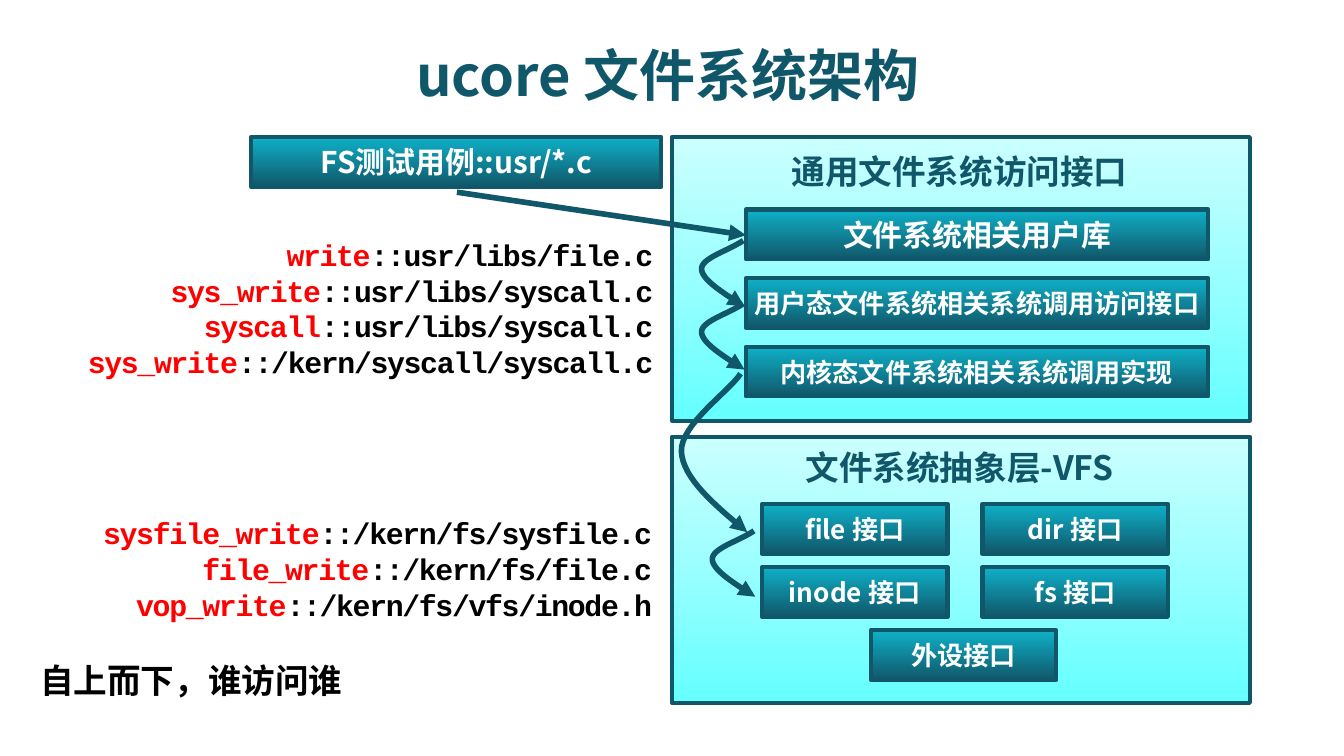
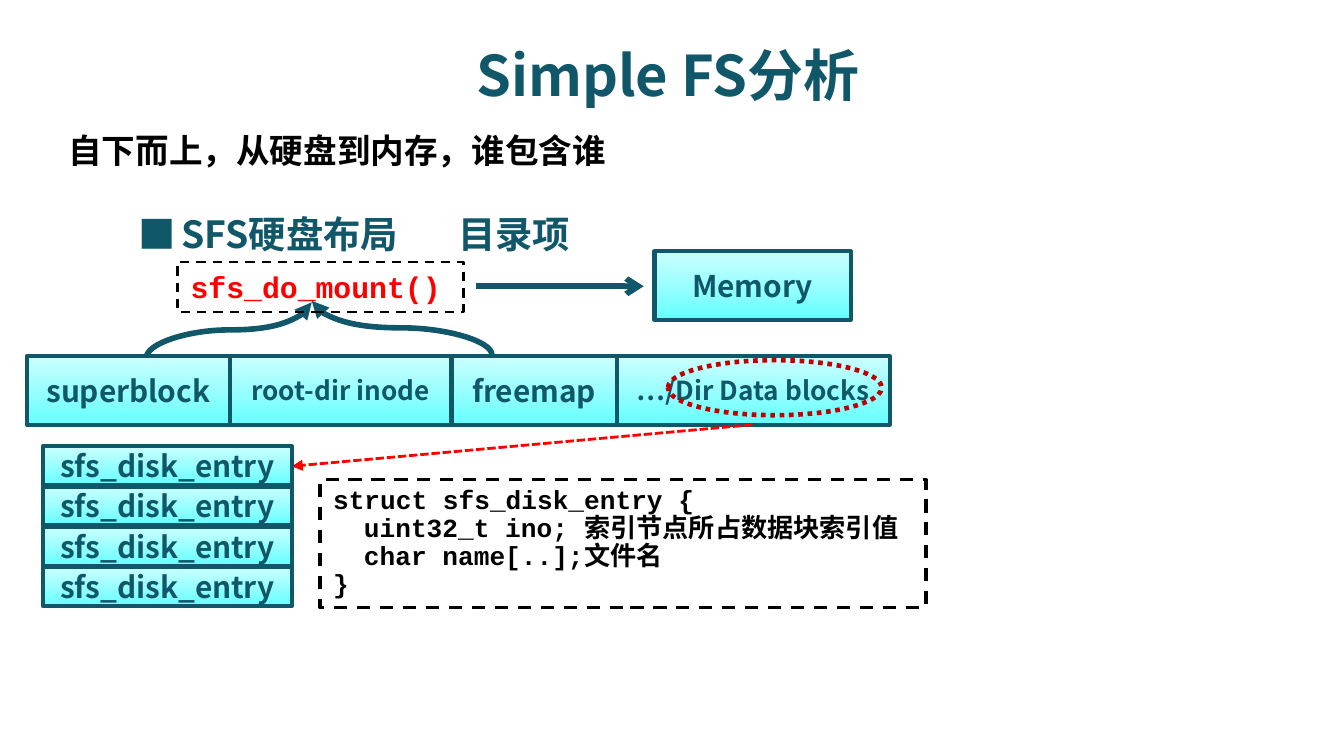
from typing import Any, NamedTuple

import lxml.etree
import pptx
import pptx.dml.color
import pptx.enum.dml
import pptx.enum.shapes
import pptx.enum.text
import pptx.oxml.ns
import pptx.util

Inches = pptx.util.Inches
Pt = pptx.util.Pt
qn = pptx.oxml.ns.qn
Kind = pptx.enum.shapes.MSO_SHAPE
Link = pptx.enum.shapes.MSO_CONNECTOR
Dash = pptx.enum.dml.MSO_LINE
Align = pptx.enum.text.PP_ALIGN
Anchor = pptx.enum.text.MSO_ANCHOR

COLORS = {
    "teal": "11576A",
    "cyan": "0EB1C8",
    "pale": "CCFFFF",
    "aqua": "66FFFF",
    "red": "FF0000",
    "dark": "C00000",
    "black": "000000",
    "white": "FFFFFF",
}
SANS = "Noto Sans CJK SC"
NOTE = "Noto Sans CJK JP"
CODE = "Courier New"
PANEL = ("pale", "aqua")
BUTTON = ("cyan", "teal")


class Area(NamedTuple):
    left: float
    top: float
    width: float
    height: float


class Line(NamedTuple):
    runs: tuple[tuple[str, str], ...]
    dent: float = 0


class Label(NamedTuple):
    text: str
    area: Area
    size: int = 14


class Point(NamedTuple):
    x: float
    y: float


def rgb(name: str) -> Any:
    return pptx.dml.color.RGBColor.from_string(COLORS[name])


def write(
    shape: Any,
    text: str | list[Line],
    *,
    size: float = 16,
    color: str = "teal",
    font: str = SANS,
    align: Any = Align.LEFT,
    anchor: Any = Anchor.TOP,
    wrap: bool = True,
    lead: float = 1,
    track: int = 0,
    tab: float = 0,
) -> None:
    frame = shape.text_frame
    frame.word_wrap = wrap
    frame.vertical_anchor = anchor
    lines = [Line(((text, color),))] if isinstance(text, str) else text
    for index, line in enumerate(lines):
        para = frame.add_paragraph() if index else frame.paragraphs[0]
        para.alignment = align
        para.line_spacing = lead
        props = para._p.get_or_add_pPr()
        if line.dent:
            props.set("marL", str(Inches(line.dent)))
        if tab:
            stops = lxml.etree.SubElement(props, qn("a:tabLst"))
            lxml.etree.SubElement(stops, qn("a:tab"), pos=str(Inches(tab)), algn="l")
        for words, tint in line.runs:
            run = para.add_run()
            run.text = words
            run.font.size = Pt(size)
            run.font.bold = True
            run.font.name = font
            run.font.color.rgb = rgb(tint)
            mark = run._r.get_or_add_rPr()
            face = SANS if font == CODE else font
            lxml.etree.SubElement(mark, qn("a:ea"), typeface=face)
            if track:
                mark.set("spc", str(track))


def stroke(shape: Any, color: str, width: float, dash: Any = None,
           head: str = "", tail: str = "") -> None:
    shape.line.color.rgb = rgb(color)
    shape.line.width = Pt(width)
    if dash is not None:
        shape.line.dash_style = dash
    pen = shape.line._get_or_add_ln()
    for tag, kind in (("a:headEnd", head), ("a:tailEnd", tail)):
        if kind:
            lxml.etree.SubElement(pen, qn(tag), type=kind)


def block(slide: Any, area: Area, fill: tuple[str, str] | None = None,
          kind: Any = Kind.RECTANGLE, color: str = "teal",
          width: float = 2.25, dash: Any = None) -> Any:
    shape = slide.shapes.add_shape(kind, *map(Inches, area))
    shape.shadow.inherit = False
    if fill:
        shape.fill.gradient()
        shape.fill.gradient_angle = 270
        for stop, name in zip(shape.fill.gradient_stops, fill):
            stop.color.rgb = rgb(name)
    else:
        shape.fill.background()
    stroke(shape, color, width, dash)
    return shape


def button(slide: Any, label: Label, fill: tuple[str, str], color: str) -> None:
    write(block(slide, label.area, fill), label.text, size=label.size, color=color,
          align=Align.CENTER, anchor=Anchor.MIDDLE, wrap=False)


def words(slide: Any, area: Area, text: str | list[Line], **style: Any) -> None:
    write(slide.shapes.add_textbox(*map(Inches, area)), text, **style)


def title(slide: Any, text: str) -> None:
    words(slide, Area(0.47, 0.25, 9, 0.56), text, size=30, align=Align.CENTER)


def calls(slide: Any, area: Area, pairs: list[tuple[str, str]]) -> None:
    lines = [Line(((name, "red"), ("::" + place, "black"))) for name, place in pairs]
    words(slide, area, lines, font=CODE, align=Align.RIGHT, track=-70)


def arrow(slide: Any, start: Point, end: Point, color: str = "teal",
          width: float = 3, dash: Any = None, tail: str = "triangle",
          kind: Any = Link.STRAIGHT) -> Any:
    link = slide.shapes.add_connector(kind, *map(Inches, (*start, *end)))
    stroke(link, color, width, dash, tail=tail)
    lxml.etree.SubElement(link._element.spPr, qn("a:effectLst"))
    return link


def bend(slide: Any, start: Point, end: Point) -> None:
    across, down = end.x - start.x, end.y - start.y
    turn = 1 if across > 0 else -1
    half = Point(turn * down / 2, -turn * across / 2)
    mid = Point((start.x + end.x) / 2, (start.y + end.y) / 2)
    link = arrow(slide, Point(mid.x - half.x, mid.y - half.y),
                 Point(mid.x + half.x, mid.y + half.y), kind=Link.CURVE)
    link._element.spPr.find(qn("a:xfrm")).set("rot", str(turn * 90 % 360 * 60000))


def cubic(nodes: list[Point], step: float) -> Point:
    rest = 1 - step
    rates = (rest**3, 3 * rest**2 * step, 3 * rest * step**2, step**3)
    return Point(sum(r * n.x for r, n in zip(rates, nodes)),
                 sum(r * n.y for r, n in zip(rates, nodes)))


def curve(slide: Any, nodes: list[Point], dx: float = 0, dy: float = 0) -> None:
    nodes = [Point(n.x + dx, n.y + dy) for n in nodes]
    spots = [cubic(nodes[first:first + 4], step / 16)
             for first in (0, 3) for step in range(1, 17)]
    form = slide.shapes.build_freeform(Inches(nodes[0].x), Inches(nodes[0].y))
    form.add_line_segments([(Inches(s.x), Inches(s.y)) for s in spots], close=False)
    shape = form.convert_to_shape()
    shape.shadow.inherit = False
    shape.fill.background()
    stroke(shape, "teal", 3, head="triangle")


HOOK = [Point(5.54, 2.75), Point(5.38, 2.65), Point(5.22, 2.55), Point(5.22, 2.47),
        Point(5.22, 2.39), Point(5.41, 2.34), Point(5.53, 2.26)]
SWEEP = [Point(5.56, 3.96), Point(5.32, 3.76), Point(5.08, 3.56), Point(5.07, 3.36),
         Point(5.06, 3.16), Point(5.44, 2.9), Point(5.51, 2.78)]


def layers(slide: Any) -> None:
    block(slide, Area(5, 1.02, 4.3, 2.11), PANEL)
    title(slide, "ucore 文件系统架构")
    block(slide, Area(5, 3.25, 4.3, 1.98), PANEL)
    for text, area in (
        ("通用文件系统访问接口", Area(5.42, 1.09, 3.44, 0.37)),
        ("文件系统抽象层-VFS", Area(5.42, 3.33, 3.44, 0.29)),
    ):
        words(slide, area, text, size=18, align=Align.CENTER,
              anchor=Anchor.MIDDLE, wrap=False)
    calls(slide, Area(0.5, 1.71, 4.46, 1.18), [
        ("write", "usr/libs/file.c"),
        ("sys_write", "usr/libs/syscall.c"),
        ("syscall", "usr/libs/syscall.c"),
        ("sys_write", "/kern/syscall/syscall.c"),
    ])
    calls(slide, Area(0.62, 3.78, 4.33, 0.91), [
        ("sysfile_write", "/kern/fs/sysfile.c"),
        ("file_write", "/kern/fs/file.c"),
        ("vop_write", "/kern/fs/vfs/inode.h"),
    ])
    labels = [Label("FS测试用例::usr/*.c", Area(1.87, 1.02, 3.05, 0.37), 16)]
    stack = (("文件系统相关用户库", 16), ("用户态文件系统相关系统调用访问接口", 14),
             ("内核态文件系统相关系统调用实现", 14))
    for row, (text, size) in enumerate(stack):
        labels.append(Label(text, Area(5.55, 1.56 + 0.51 * row, 3.44, 0.37), size))
    for index, name in enumerate(("file", "dir", "inode", "fs")):
        row, col = divmod(index, 2)
        area = Area(5.67 + 1.64 * col, 3.75 + 0.47 * row, 1.38, 0.37)
        labels.append(Label(name + " 接口", area))
    labels.append(Label("外设接口", Area(6.48, 4.69, 1.38, 0.37)))
    for label in labels:
        button(slide, label, BUTTON, "white")
    curve(slide, HOOK, 0.08, 1.69)
    curve(slide, SWEEP)
    arrow(slide, Point(3.4, 1.43), Point(5.55, 1.75))
    curve(slide, HOOK)
    curve(slide, HOOK, dy=-0.47)
    words(slide, Area(0.2, 4.86, 2.48, 0.4), "自上而下，谁访问谁", size=18,
          font=NOTE, color="black", anchor=Anchor.MIDDLE, wrap=False)


def disk(slide: Any) -> None:
    title(slide, "Simple FS分析")
    words(slide, Area(1.25, 1.52, 3.59, 0.47), "SFS硬盘布局\t目录项", size=20, tab=2.06)
    words(slide, Area(0.93, 1.52, 0.47, 0.44), "■", size=20, font=NOTE)
    left = 0.2
    for text, width, size in (
        ("superblock", 1.51, 16),
        ("root-dir inode", 1.65, 14),
        ("freemap", 1.23, 16),
        ("…/Dir Data blocks", 2.03, 14),
    ):
        button(slide, Label(text, Area(left, 2.65, width, 0.51), size), PANEL, "teal")
        left += width
    block(slide, Area(4.97, 2.68, 1.59, 0.41), kind=Kind.OVAL, color="dark",
          width=2.5, dash=Dash.ROUND_DOT)
    button(slide, Label("Memory", Area(4.87, 1.87, 1.46, 0.51), 16), PANEL, "teal")
    arrow(slide, Point(3.54, 2.13), Point(4.79, 2.13), tail="arrow")
    bend(slide, Point(1.09, 2.66), Point(2.32, 2.25))
    bend(slide, Point(3.66, 2.64), Point(2.32, 2.24))
    mount = block(slide, Area(1.32, 1.95, 2.13, 0.37), color="black",
                  width=1.25, dash=Dash.DASH)
    write(mount, "sfs_do_mount()", font=CODE, color="red")
    arrow(slide, Point(5.6, 3.16), Point(2.17, 3.47), "red", 1.5, Dash.SQUARE_DOT)
    struct = block(slide, Area(2.38, 3.57, 4.51, 0.95), color="black",
                   width=1.75, dash=Dash.DASH)
    code = (("struct sfs_disk_entry {", 0), ("uint32_t ino; 索引节点所占数据块索引值", 0.23),
            ("char name[..];文件名", 0.23), ("}", 0))
    write(struct, [Line(((text, "black"),), dent) for text, dent in code],
          size=14, font=CODE, lead=0.9)
    for row in range(4):
        area = Area(0.32, 3.32 + 0.3 * row, 1.85, 0.29)
        button(slide, Label("sfs_disk_entry", area, 16), PANEL, "teal")
    words(slide, Area(0.41, 0.92, 4.42, 0.4), "自下而上，从硬盘到内存，谁包含谁", size=18,
          font=NOTE, color="black", anchor=Anchor.MIDDLE, wrap=False)


def main() -> None:
    deck = pptx.Presentation()
    deck.slide_width = Inches(10)
    deck.slide_height = Inches(10 * 9 / 16)
    for draw in (layers, disk):
        draw(deck.slides.add_slide(deck.slide_layouts[6]))
    deck.save("out.pptx")


main()
